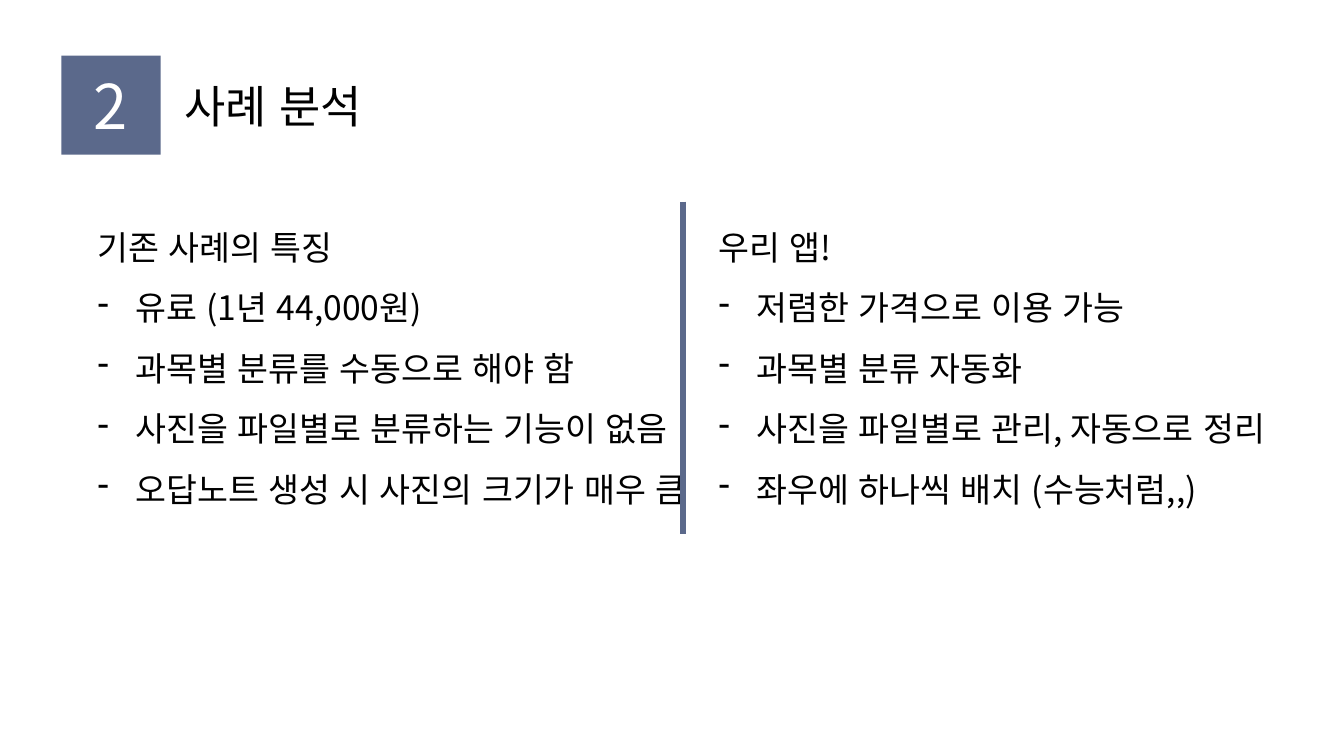
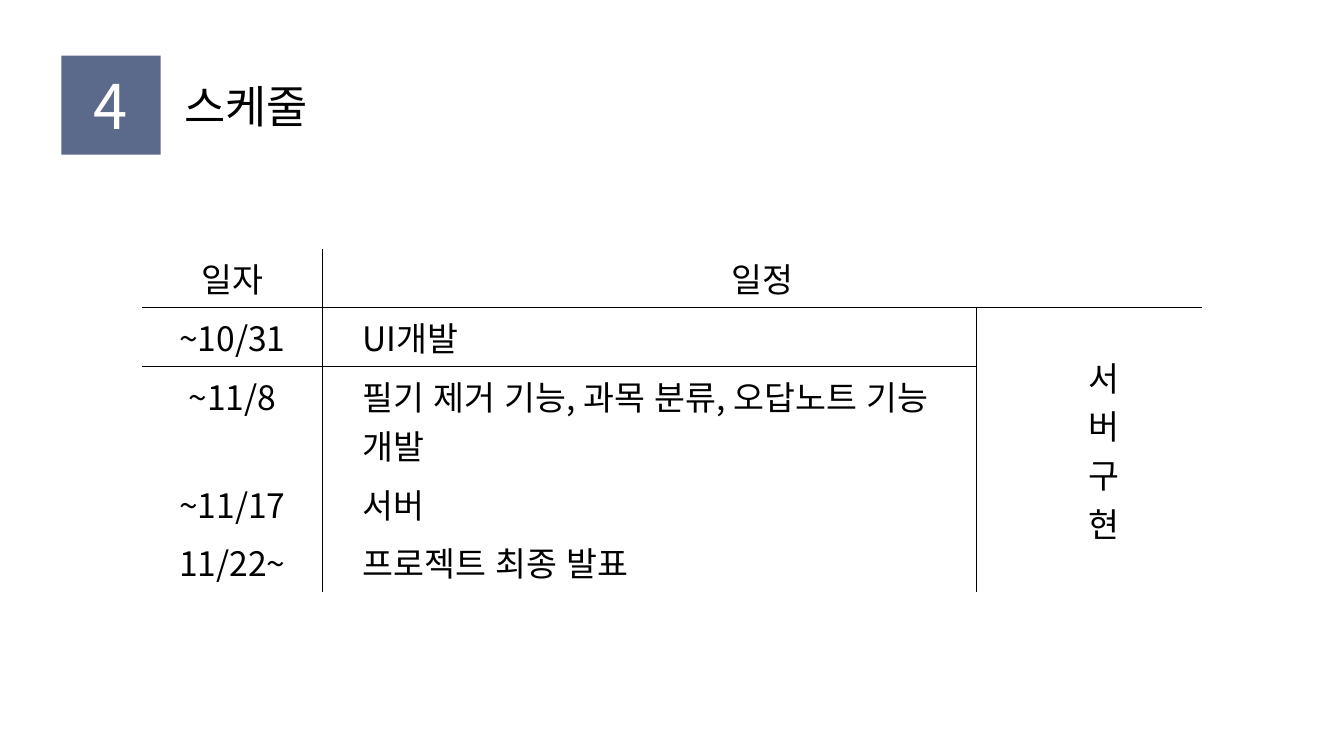
from dataclasses import dataclass

from lxml import etree
from pptx import Presentation
from pptx.dml.color import RGBColor
from pptx.enum.lang import MSO_LANGUAGE_ID as Lang
from pptx.enum.shapes import MSO_CONNECTOR as Connector, MSO_SHAPE as Shape
from pptx.enum.text import MSO_ANCHOR as Anchor, MSO_AUTO_SIZE as AutoSize, PP_ALIGN as Align
from pptx.oxml.ns import qn
from pptx.util import Cm, Pt


@dataclass(frozen=True)
class Theme:
    font: str = "Noto Sans CJK KR"
    accent: RGBColor = RGBColor(0x5B, 0x69, 0x8B)
    ink: RGBColor = RGBColor(0, 0, 0)
    paper: RGBColor = RGBColor(0xFF, 0xFF, 0xFF)
    number: int = 44
    title: int = 32
    body: int = 24


THEME = Theme()
NO_GRID_STYLE = "{2D5ABB26-0587-4C30-8999-92F81FD0307C}"
INDENT = Cm(0.95)

FEATURES = (
    ("기존 사례의 특징", [
        "유료 (1년 44,000원)",
        "과목별 분류를 수동으로 해야 함",
        "사진을 파일별로 분류하는 기능이 없음",
        "오답노트 생성 시 사진의 크기가 매우 큼",
    ]),
    ("우리 앱!", [
        "저렴한 가격으로 이용 가능",
        "과목별 분류 자동화",
        "사진을 파일별로 관리, 자동으로 정리",
        "좌우에 하나씩 배치 (수능처럼,,)",
    ]),
)
SCHEDULE = (
    ("일자", "일정"),
    ("~10/31", "UI개발"),
    ("~11/8", "필기 제거 기능, 과목 분류, 오답노트 기능 개발"),
    ("~11/17", "서버"),
    ("11/22~", "프로젝트 최종 발표"),
)


def add_bullet(p, char="-"):
    pPr = p._p.get_or_add_pPr()
    pPr.set("marL", str(INDENT))
    pPr.set("indent", str(-INDENT))
    etree.SubElement(pPr, qn("a:buChar"), char=char)


def write(tf, *lines, size=THEME.body, color=THEME.ink, align=Align.LEFT,
          spacing=1.0, bullets_from=None):
    """Fill a text frame, one paragraph a line; bullets start at the given line."""
    for i, line in enumerate(lines):
        p = tf.paragraphs[0] if i == 0 else tf.add_paragraph()
        if bullets_from is not None and i >= bullets_from:
            add_bullet(p)
        p.alignment, p.line_spacing = align, spacing
        r = p.add_run()
        r.text = line
        r.font.name, r.font.size = THEME.font, Pt(size)
        r.font.color.rgb = color
        r.font.language_id = Lang.KOREAN
        etree.SubElement(r._r.get_or_add_rPr(), qn("a:ea"), typeface=THEME.font)


def add_titled_slide(prs, number, title):
    s = prs.slides.add_slide(prs.slide_layouts[5])
    top, side = Cm(1.4), Cm(2.5)

    sp = s.shapes.title
    sp.left, sp.top, sp.width, sp.height = Cm(4.39), top, Cm(14.55), side
    tf = sp.text_frame
    tf.auto_size, tf.vertical_anchor, tf.margin_right = AutoSize.NONE, Anchor.MIDDLE, 0
    write(tf, title, size=THEME.title)

    sp = s.shapes.add_shape(Shape.RECTANGLE, Cm(1.55), top, side, side)
    sp.shadow.inherit = False
    sp.fill.solid()
    sp.fill.fore_color.rgb = THEME.accent
    sp.line.fill.background()
    sp.text_frame.vertical_anchor = Anchor.MIDDLE
    write(sp.text_frame, number, size=THEME.number, color=THEME.paper, align=Align.CENTER)
    return s


def add_feature_list(s, left, top, heading, items):
    tf = s.shapes.add_textbox(left, top, Cm(16), Cm(9.32)).text_frame
    tf.word_wrap, tf.auto_size = True, AutoSize.SHAPE_TO_FIT_TEXT
    write(tf, heading, *items, spacing=1.5, bullets_from=1)


def add_divider(s, x, top, bottom):
    line = s.shapes.add_connector(Connector.STRAIGHT, x, top, x, bottom)
    line.line.color.rgb, line.line.width = THEME.accent, Pt(4.5)
    etree.SubElement(line._element.spPr, qn("a:effectLst"))


def format_cell(cell, borders):
    """Draw the named sides (of L, R, T, B) and leave the cell unfilled."""
    tcPr = cell._tc.get_or_add_tcPr()
    for side in "LRTB":
        if side in borders:
            ln = etree.SubElement(tcPr, qn(f"a:ln{side}"), w=str(Pt(1)))
            fill = etree.SubElement(ln, qn("a:solidFill"))
            etree.SubElement(fill, qn("a:srgbClr"), val=str(THEME.ink))
    cell.fill.background()


def add_schedule(s, rows, side_label):
    widths, row_height = (Cm(4.55), Cm(16.48), Cm(5.69)), Cm(1.42)
    frame = s.shapes.add_table(len(rows), len(widths), Cm(3.58), Cm(6.27),
                               sum(widths), row_height * len(rows))
    table = frame.table
    table.first_row = table.horz_banding = False
    table._tbl.tblPr.find(qn("a:tableStyleId")).text = NO_GRID_STYLE
    for col, width in zip(table.columns, widths):
        col.width = width

    table.cell(0, 1).merge(table.cell(0, 2))
    table.cell(1, 2).merge(table.cell(len(rows) - 1, 2))
    for i, texts in enumerate(rows):
        rule = {0: "B", 1: "T"}.get(i, "")
        for j, upright in enumerate(("R", "L", "")):
            format_cell(table.cell(i, j), upright + rule)
        for j, text in enumerate(texts):
            cell, is_entry = table.cell(i, j), i > 0 and j == 1
            if is_entry:
                cell.margin_left = Cm(1)
            write(cell.text_frame, text, align=Align.LEFT if is_entry else Align.CENTER)

    cell = table.cell(1, 2)
    cell.margin_left, cell.vertical_anchor = Cm(1), Anchor.MIDDLE
    write(cell.text_frame, *side_label, align=Align.CENTER)


def main():
    prs = Presentation()
    prs.slide_width, prs.slide_height = Cm(33.87), Cm(19.05)

    s = add_titled_slide(prs, "2", "사례 분석")
    top = Cm(5.08)
    for left, (heading, items) in zip((Cm(2.21), Cm(17.86)), FEATURES):
        add_feature_list(s, left, top, heading, items)
    add_divider(s, Cm(17.22), top, Cm(13.46))

    s = add_titled_slide(prs, "4", "스케줄")
    add_schedule(s, SCHEDULE, "서버구현")

    prs.save("out.pptx")


if __name__ == "__main__":
    main()
